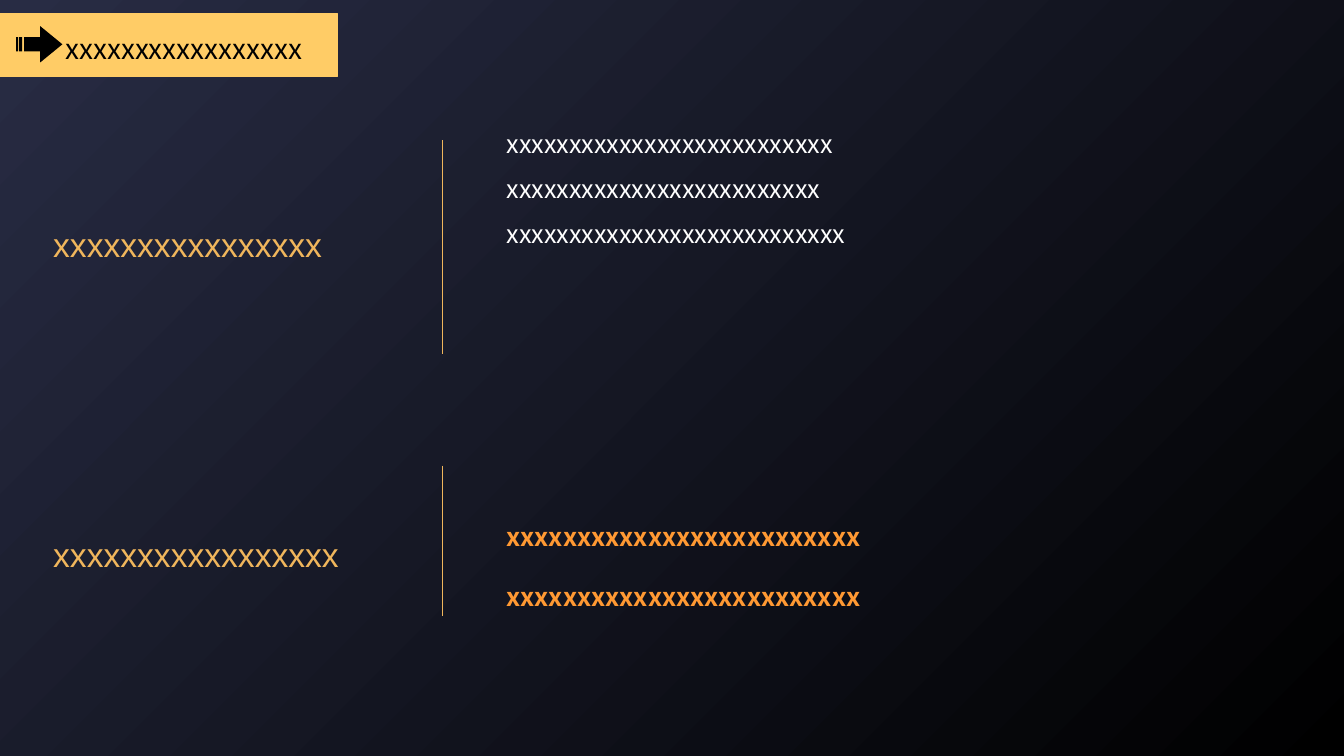
from pptx import Presentation
from pptx.dml.color import RGBColor
from pptx.enum.shapes import MSO_CONNECTOR, MSO_SHAPE
from pptx.enum.text import MSO_ANCHOR
from pptx.oxml.ns import qn
from pptx.util import Inches, Pt

STRAIGHT = MSO_CONNECTOR.STRAIGHT
PROCESS = MSO_SHAPE.FLOWCHART_PROCESS
TOP, MIDDLE = MSO_ANCHOR.TOP, MSO_ANCHOR.MIDDLE
COLUMNS, ROWS = 133.4, 75
CELL = Inches(0.1)
FINE_STEPS = 10


def color(value):
    return RGBColor.from_string(value)


def cells(*counts):
    return [round(count * CELL) for count in counts]


class SlideBuilder:
    """Draws styled elements on a grid of tenth-inch cells."""

    gold, banner_gold, orange = "F0B65C", "FFCC66", "FF9933"
    white, black, navy = "FFFFFF", "000000", "282C44"
    label_font, body_font = "Arial", "Noto Sans CJK SC"

    def __init__(self, presentation):
        presentation.slide_width, presentation.slide_height = cells(COLUMNS, ROWS)
        self.slide = presentation.slides.add_slide(presentation.slide_layouts[6])
        self.shapes = self.slide.shapes

    def background(self, start, end):
        fill = self.slide.background.fill
        fill.gradient()
        fill.gradient_angle = 315
        for stop, value in zip(fill.gradient_stops, (start, end)):
            stop.color.rgb = color(value)

    def text(self, box, lines, size, value, font, spacing, anchor=TOP, bold=False):
        frame = self.shapes.add_textbox(*cells(*box)).text_frame
        frame.word_wrap = True
        frame.vertical_anchor = anchor
        for index, line in enumerate(lines):
            paragraph = frame.add_paragraph() if index else frame.paragraphs[0]
            paragraph.line_spacing = spacing
            run = paragraph.add_run()
            run.text = line
            run.font.size = Pt(size)
            run.font.name = font
            run.font.bold = bold
            run.font.color.rgb = color(value)
            east_asian = run.font._element.makeelement(qn("a:ea"), {"typeface": font})
            run.font._element.append(east_asian)

    def divider(self, column, top, bottom):
        line = self.shapes.add_connector(STRAIGHT, *cells(column, top, column, bottom))
        line.line.color.rgb = color(self.gold)
        line.line.width = Pt(1)
        properties = line._element.spPr
        properties.append(properties.makeelement(qn("a:effectLst"), {}))

    def banner(self, box):
        shape = self.shapes.add_shape(PROCESS, *cells(*box))
        shape.shadow.inherit = False
        shape.fill.solid()
        shape.fill.fore_color.rgb = color(self.banner_gold)
        shape.line.color.rgb = color(self.banner_gold)
        shape.line.width = Pt(0.75)

    def outline(self, contours, value):
        builder = self.shapes.build_freeform(*contours[0][0], scale=CELL / FINE_STEPS)
        for index, (start, *points) in enumerate(contours):
            if index:
                builder.move_to(*start)
            builder.add_line_segments(points, close=True)
        shape = builder.convert_to_shape()
        shape.shadow.inherit = False
        shape.fill.solid()
        shape.fill.fore_color.rgb = color(value)
        shape.line.fill.background()


def main():
    presentation = Presentation()
    page = SlideBuilder(presentation)
    page.background(page.navy, page.black)

    for top, label in ((21.5, "xxxxxxxxxxxxxxxx"), (52.3, "xxxxxxxxxxxxxxxxx")):
        page.text((4.3, top, 38, 5), [label], 24, page.gold, page.label_font, 1.1, MIDDLE)
    for top, bottom in ((13.9, 35.1), (46.2, 61.1)):
        page.divider(43.9, top, bottom)

    details = [
        "xxxxxxxxxxxxxxxxxxxxxxxxxx",
        "xxxxxxxxxxxxxxxxxxxxxxxxx",
        "xxxxxxxxxxxxxxxxxxxxxxxxxxx",
    ]
    page.text((49.3, 10.7, 80.3, 15), details, 18, page.white, page.body_font, 1.5)
    highlights = ["xxxxxxxxxxxxxxxxxxxxxxxxx"] * 2
    page.text((49.3, 48.2, 80.3, 14), highlights, 18, page.orange, page.body_font, 2.0, bold=True)

    page.banner((-2.5, 1.3, 36, 6.3))
    page.text((5.5, 2.3, 28, 4.7), ["xxxxxxxxxxxxxxxxx"], 20, page.black, page.body_font, 1.1)
    arrow = [(40, 26), (40, 37), (24, 37), (24, 51), (40, 51), (40, 62), (62, 44)]
    bars = [
        [(left, 37), (left, 51), (right, 51), (right, 37)]
        for left, right in ((19, 22), (16, 18))
    ]
    page.outline([arrow, *bars], page.black)

    presentation.save("out.pptx")


if __name__ == "__main__":
    main()
